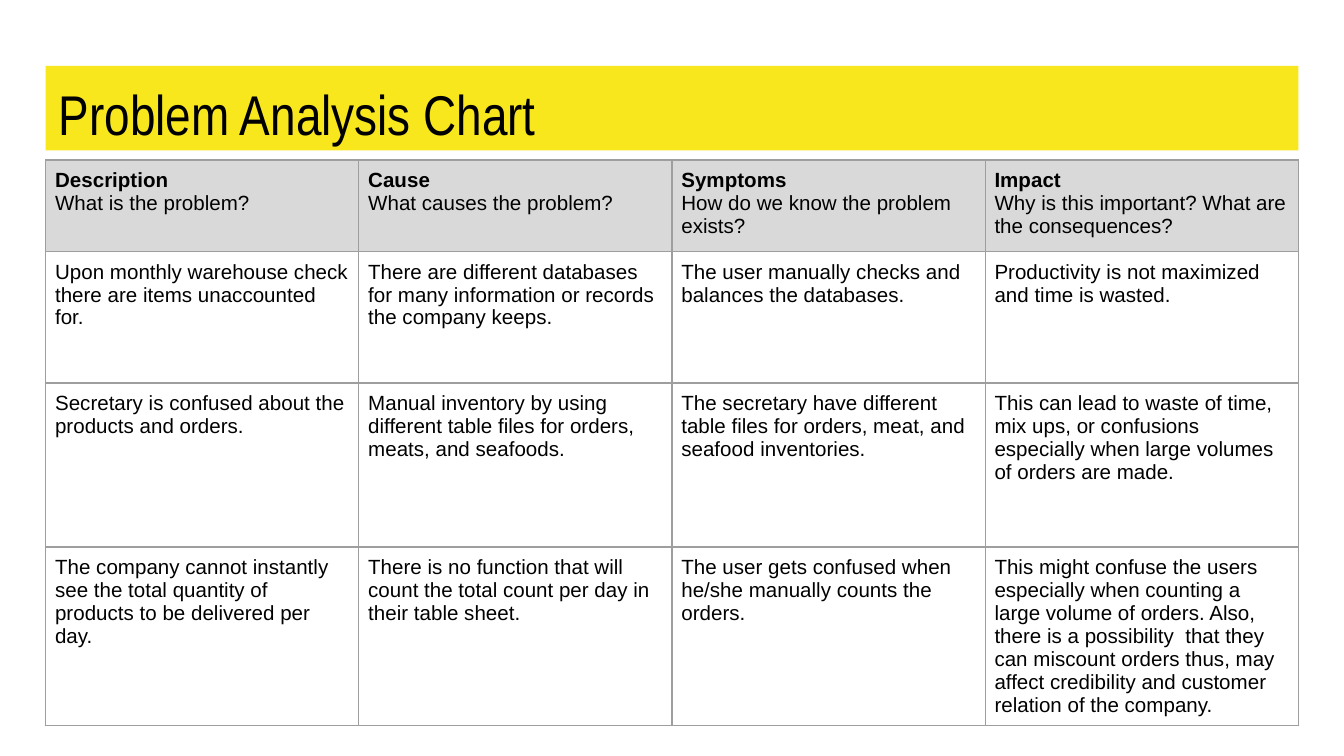
"""Build a problem analysis chart slide: a title band above a four-column table."""
from lxml.etree import SubElement
from pptx import Presentation
from pptx.dml.color import RGBColor
from pptx.enum.shapes import MSO_SHAPE
from pptx.enum.text import MSO_ANCHOR, PP_ALIGN
from pptx.oxml.ns import qn
from pptx.util import Inches, Pt

YELLOW = RGBColor(0xF8, 0xE7, 0x1C)
GREY = RGBColor(0xD9, 0xD9, 0xD9)
WHITE = RGBColor(0xFF, 0xFF, 0xFF)
BLACK = RGBColor(0x00, 0x00, 0x00)
BORDER = RGBColor(0x9E, 0x9E, 0x9E)

PAGE_WIDTH = 10
PAGE_HEIGHT = PAGE_WIDTH * 9 / 16
MARGIN = 0.034 * PAGE_WIDTH
CONTENT_WIDTH = PAGE_WIDTH - 2 * MARGIN
BAND_TOP, BAND_HEIGHT = 0.49, 0.63
TABLE_TOP = 1.19
ROW_HEIGHTS = [0.68, 0.98, 1.22, 0.98]

HEADINGS = [
    ("Description", "What is the problem?"),
    ("Cause", "What causes the problem?"),
    ("Symptoms", "How do we know the problem exists?"),
    ("Impact", "Why is this important? What are the consequences?"),
]
PROBLEMS = [
    ("Upon monthly warehouse check there are items unaccounted for.",
     "There are different databases for many information or records the company keeps.",
     "The user manually checks and balances the databases.",
     "Productivity is not maximized and time is wasted."),
    ("Secretary is confused about the products and orders.",
     "Manual inventory by using different table files for orders, meats, and seafoods.",
     "The secretary have different table files for orders, meat, and seafood inventories.",
     "This can lead to waste of time, mix ups, or confusions especially when large "
     "volumes of orders are made."),
    ("The company cannot instantly see the total quantity of products to be delivered per day.",
     "There is no function that will count the total count per day in their table sheet.",
     "The user gets confused when he/she manually counts the orders.",
     "This might confuse the users especially when counting a large volume of orders. "
     "Also, there is a possibility  that they can miscount orders thus, may affect "
     "credibility and customer relation of the company."),
]


def set_font(para, name, size, bold=False):
    """Give a paragraph its typeface, size and weight in black."""
    para.font.name = name
    para.font.size = Pt(size)
    para.font.bold = bold
    para.font.color.rgb = BLACK


def set_margins(target, inset):
    """Set the same inset on all four sides of a cell or text frame."""
    for side in ("left", "right", "top", "bottom"):
        setattr(target, f"margin_{side}", Inches(inset))


def add_title_band(page, title):
    """Add the yellow band that carries the slide title."""
    band = page.shapes.add_shape(
        MSO_SHAPE.RECTANGLE, Inches(MARGIN), Inches(BAND_TOP),
        Inches(CONTENT_WIDTH), Inches(BAND_HEIGHT))
    band.shadow.inherit = False
    band.fill.solid()
    band.fill.fore_color.rgb = YELLOW
    band.line.fill.background()
    frame = band.text_frame
    frame.word_wrap = True
    frame.vertical_anchor = MSO_ANCHOR.TOP
    set_margins(frame, 0.1)
    para = frame.paragraphs[0]
    para.text = title
    para.alignment = PP_ALIGN.LEFT
    set_font(para, "Arial Narrow", 30)


def add_borders(cell):
    """Draw a thin grey line on each side of a cell, ahead of its fill."""
    properties = cell._tc.get_or_add_tcPr()
    for position, side in enumerate(("lnL", "lnR", "lnT", "lnB")):
        line = SubElement(properties, qn(f"a:{side}"), w=str(Pt(0.75)))
        fill = SubElement(line, qn("a:solidFill"))
        SubElement(fill, qn("a:srgbClr"), val=str(BORDER))
        properties.insert(position, line)


def fill_cell(cell, lines, color, has_heading=False):
    """Write the lines of a cell, the first one bold where it is a heading."""
    set_margins(cell, 0.07)
    cell.vertical_anchor = MSO_ANCHOR.TOP
    cell.fill.solid()
    cell.fill.fore_color.rgb = color
    add_borders(cell)
    cell.text_frame.text = "\n".join(lines)
    for index, para in enumerate(cell.text_frame.paragraphs):
        set_font(para, "Arial", 11, bold=has_heading and index == 0)


def add_problem_table(page):
    """Add the table with its heading row and one row per problem."""
    table = page.shapes.add_table(
        len(ROW_HEIGHTS), len(HEADINGS), Inches(MARGIN), Inches(TABLE_TOP),
        Inches(CONTENT_WIDTH), Inches(sum(ROW_HEIGHTS))).table
    table.horz_banding = False
    for row, height in zip(table.rows, ROW_HEIGHTS):
        row.height = Inches(height)
    for column, heading in enumerate(HEADINGS):
        fill_cell(table.cell(0, column), heading, GREY, has_heading=True)
    for row, problem in enumerate(PROBLEMS, start=1):
        for column, text in enumerate(problem):
            fill_cell(table.cell(row, column), [text], WHITE)


def main():
    """Build the deck and save it."""
    deck = Presentation()
    deck.slide_width = Inches(PAGE_WIDTH)
    deck.slide_height = Inches(PAGE_HEIGHT)
    page = deck.slides.add_slide(deck.slide_layouts[6])
    add_title_band(page, "Problem Analysis Chart")
    add_problem_table(page)
    deck.save("out.pptx")


if __name__ == "__main__":
    main()
